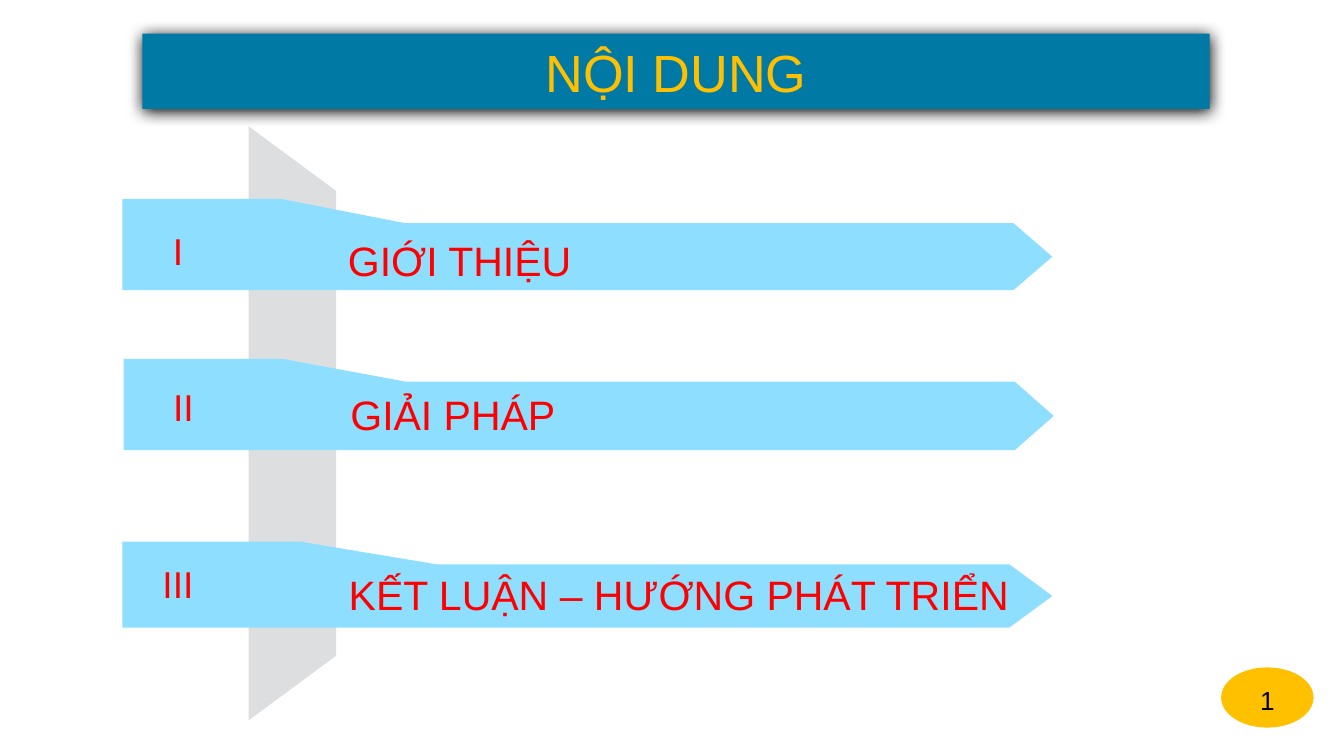
from lxml import etree
from pptx import Presentation
from pptx.dml.color import RGBColor
from pptx.enum.shapes import MSO_SHAPE as SHAPE
from pptx.enum.text import MSO_ANCHOR as ANCHOR, MSO_AUTO_SIZE as AUTO, PP_ALIGN as ALIGN
from pptx.oxml import parse_xml
from pptx.oxml.ns import nsdecls
from pptx.util import Inches, Pt

RED, GOLD, BLACK = "FF0000", "FFC000", "000000"
TEAL, SKY, GREY = "0079A5", "8EDFFF", "DCDEE0"


def rgb(color):
    return RGBColor.from_string(color)


def paint(sp, color):
    sp.fill.solid()
    sp.fill.fore_color.rgb = rgb(color)


def write(sp, text, size, color, wrap=True):
    tf = sp.text_frame
    tf.word_wrap = wrap
    p = tf.paragraphs[0]
    p.alignment = ALIGN.CENTER
    r = p.add_run()
    r.text = text
    r.font.name = "Arial"
    r.font.size = Pt(size)
    r.font.color.rgb = rgb(color)
    return tf


def add_label(s, box, text, size, wrap=True):
    sp = s.shapes.add_textbox(*map(Inches, box))
    write(sp, text, size, RED, wrap).auto_size = AUTO.SHAPE_TO_FIT_TEXT


def add_outline(s, points, color):
    points = [(Inches(x), Inches(y)) for x, y in points]
    builder = s.shapes.build_freeform(*points[0])
    builder.add_line_segments(points[1:], close=True)
    sp = builder.convert_to_shape()
    paint(sp, color)
    sp.line.fill.background()
    sp.shadow.inherit = False


def add_title(s, x, y, w, h):
    sp = s.shapes.title
    sp.left, sp.top, sp.width, sp.height = map(Inches, (x, y, w, h))
    paint(sp, TEAL)
    tf = write(sp, "NỘI DUNG", 28, GOLD)
    tf.auto_size = AUTO.NONE
    tf.vertical_anchor = ANCHOR.MIDDLE
    tf.margin_left = tf.margin_right = tf.margin_top = tf.margin_bottom = Inches(0.06)
    effects = parse_xml(f"<a:effectLst {nsdecls('a')}/>")
    shadow = etree.SubElement(
        effects, effects.tag.replace("effectLst", "outerShdw"),
        blurRad=str(Pt(8.5)), dist=str(Pt(1)), dir="5400000", algn="t", rotWithShape="0")
    etree.SubElement(shadow, effects.tag.replace("effectLst", "srgbClr"), val=BLACK)
    sp.element.spPr.append(effects)


def add_pillar(s, x, y, w, h):
    slant = 0.48
    add_outline(s, [(x, y), (x + w, y + slant), (x + w, y + h - slant), (x, y + h)], GREY)


def add_banner(s, x, y, w, h, bend, shoulder, head, step):
    bottom, top = y + h, y + step
    add_outline(s, [
        (x, y), (x + bend, y), (x + shoulder, top), (x + w - head, top),
        (x + w, (top + bottom) / 2), (x + w - head, bottom), (x, bottom)], SKY)


def add_page_badge(s, x, y, w, h):
    sp = s.shapes.add_shape(SHAPE.OVAL, *map(Inches, (x, y, w, h)))
    sp.shadow.inherit = False
    paint(sp, GOLD)
    sp.line.color.rgb = rgb(GOLD)
    sp.line.width = Pt(2)
    write(sp, "1", 14, BLACK).vertical_anchor = ANCHOR.TOP


def main():
    prs = Presentation()
    prs.slide_width = Inches(10)
    prs.slide_height = prs.slide_width * 9 // 16
    s = prs.slides.add_slide(prs.slide_layouts[5])
    add_title(s, 1.06, 0.25, 7.94, 0.56)
    add_pillar(s, 1.85, 0.94, 0.65, 4.42)
    sections = [
        ("I", (1.02, 1.65), "GIỚI THIỆU", (2.48, 1.7, 1.88),
         (0.91, 1.48, 6.92, 0.68, 1.18, 2.1, 0.29, 0.18)),
        ("II", (1.06, 2.81), "GIẢI PHÁP", (2.5, 2.85, 1.74),
         (0.92, 2.67, 6.92, 0.68, 1.18, 2.1, 0.29, 0.17)),
        ("III", (1.02, 4.13), "KẾT LUẬN – HƯỚNG PHÁT TRIỂN", (2.49, 4.19, 5.12),
         (0.91, 4.03, 6.92, 0.64, 1.32, 2.34, 0.32, 0.17)),
    ]
    for numeral, numeral_at, name, name_box, banner in sections:
        add_banner(s, *banner)
        add_label(s, (*numeral_at, 0.61, 0.44), numeral, 20)
        add_label(s, (*name_box, 0.47), name, 22, wrap=False)
    add_page_badge(s, 9.1, 4.98, 0.66, 0.42)
    prs.save("out.pptx")


if __name__ == "__main__":
    main()
